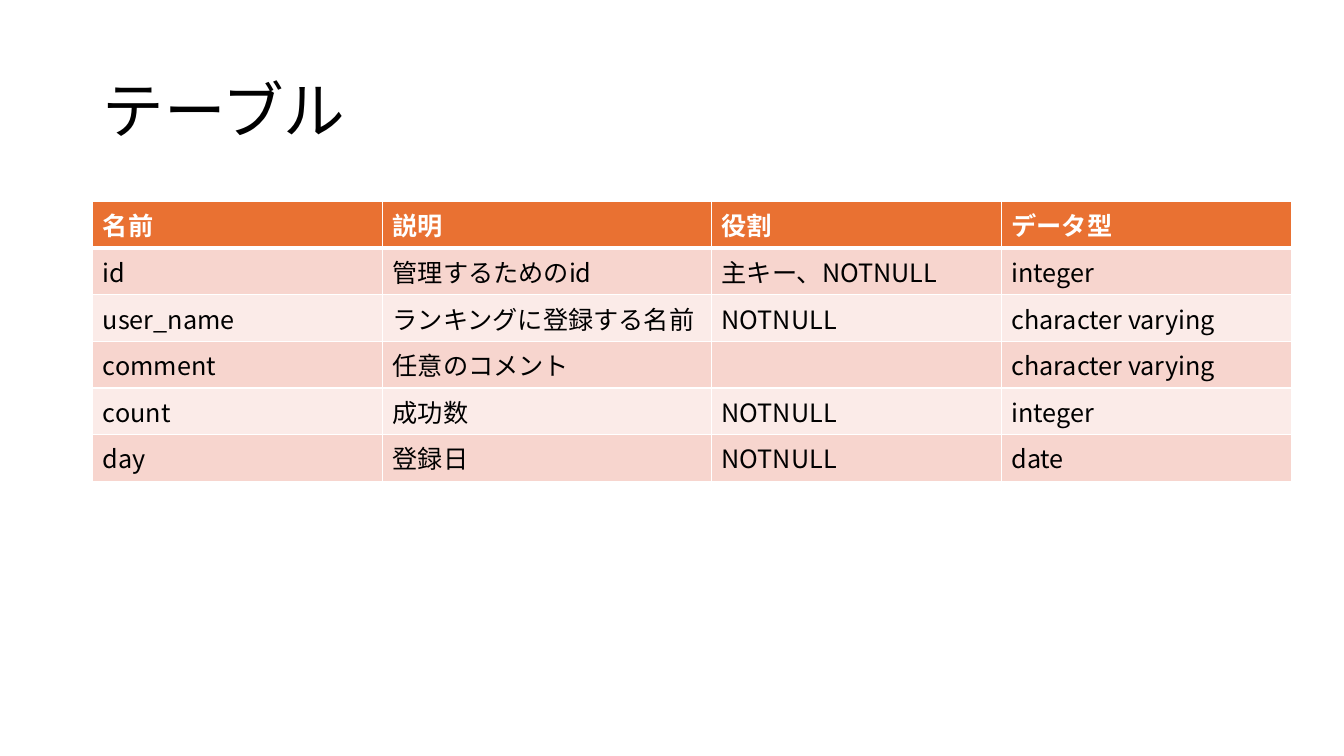
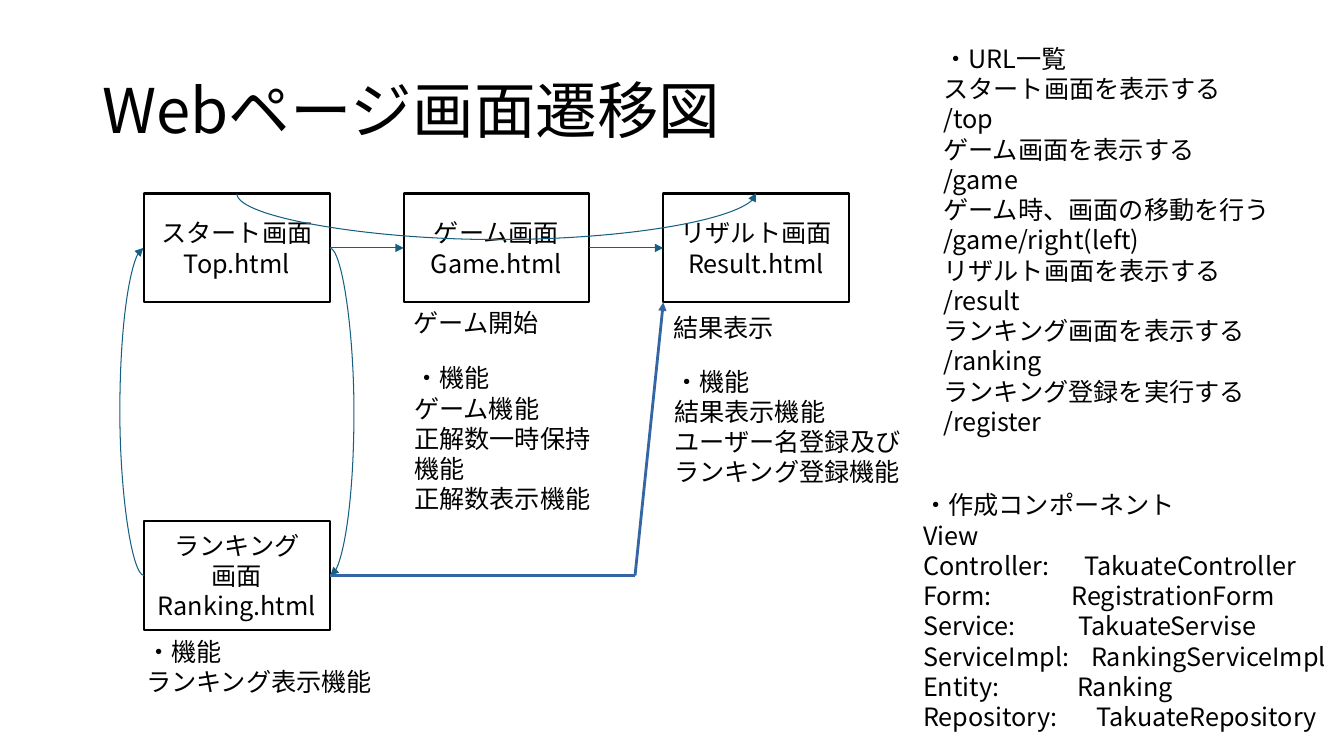
import pptx
import pptx.util
import pptx.dml.color
import pptx.enum.shapes
import pptx.enum.text
import pptx.oxml
import pptx.oxml.ns
import lxml.etree

Pt = pptx.util.Pt
qn = pptx.oxml.ns.qn
KIND = pptx.enum.shapes.MSO_CONNECTOR
ALIGN = pptx.enum.text.PP_ALIGN
ANCHOR = pptx.enum.text.MSO_ANCHOR

FONT = "Noto Sans CJK JP"
HUES = {
    "ink": "000000", "paper": "FFFFFF", "head": "E97132", "odd": "F7D5CE",
    "even": "FBEBE8", "flow": "156082", "link": "3465A4",
}

TITLES = ["テーブル", "Webページ画面遷移図"]

ROWS = [
    ("名前", "説明", "役割", "データ型"),
    ("id", "管理するためのid", "主キー、NOTNULL", "integer"),
    ("user_name", "ランキングに登録する名前", "NOTNULL", "character varying"),
    ("comment", "任意のコメント", "", "character varying"),
    ("count", "成功数", "NOTNULL", "integer"),
    ("day", "登録日", "NOTNULL", "date"),
]
COLS = [207, 235, 207, 207]
ROW_H = 33.1

LEFT, TOP, STEP, DROP = 103, 138.2, 185.4, 234
BOX_W, BOX_H = 132.5, 77.8
PAGES = {
    "top": (0, 0, ["スタート画面", "Top.html"]),
    "game": (1, 0, ["ゲーム画面", "Game.html"]),
    "result": (2, 0, ["リザルト画面", "Result.html"]),
    "rank": (0, 1, ["ランキング", "画面", "Ranking.html"]),
}

NOTES = [
    (288.4, 216, 132, ["ゲーム開始"]),
    (97.2, 450.7, 192, ["・機能", "ランキング表示機能"]),
    (473.8, 219.6, 155, ["結果表示"]),
    (288.7, 255.6, 149, ["・機能", "ゲーム機能", "正解数一時保持機能", "正解数表示機能"]),
    (474.5, 257.8, 201.6, ["・機能", "結果表示機能", "ユーザー名登録及び", "ランキング登録機能"]),
    (666.7, 27.4, 258.5, [
        "・URL一覧",
        "スタート画面を表示する", "/top",
        "ゲーム画面を表示する", "/game",
        "ゲーム時、画面の移動を行う", "/game/right(left)",
        "リザルト画面を表示する", "/result",
        "ランキング画面を表示する", "/ranking",
        "ランキング登録を実行する", "/register",
    ]),
]

PARTS = [
    ("・作成コンポーネント", "", 0),
    ("View", "", 0),
    ("Controller:", "TakuateController", 115),
    ("Form:", "RegistrationForm", 106),
    ("Service:", "TakuateServise", 111),
    ("ServiceImpl:", "RankingServiceImpl", 120),
    ("Entity:", "Ranking", 110),
    ("Repository:", "TakuateRepository", 124),
]


def rgb(hue):
    return pptx.dml.color.RGBColor.from_string(HUES[hue])


def write(frame, lines, size=18, hue="ink", bold=False, align=ALIGN.LEFT,
          anchor=ANCHOR.TOP, pitch=None, tabs=()):
    frame.word_wrap = True
    frame.auto_size = pptx.enum.text.MSO_AUTO_SIZE.NONE
    frame.vertical_anchor = anchor
    fill(frame, lines, size, hue, bold, align, pitch)
    for para, stop in zip(frame.paragraphs, tabs):
        if stop:
            row = lxml.etree.SubElement(para._p.get_or_add_pPr(), qn("a:tabLst"))
            lxml.etree.SubElement(row, qn("a:tab"), pos=str(Pt(stop)), algn="l")


def fill(frame, lines, size, hue, bold, align, pitch):
    for i, line in enumerate(lines):
        para = frame.paragraphs[0] if i == 0 else frame.add_paragraph()
        para.alignment = align
        if pitch:
            para.line_spacing = pitch
        run = para.add_run()
        run.text = line
        font = run.font
        font.name, font.size, font.bold = FONT, Pt(size), bold
        font.color.rgb = rgb(hue)
        east = lxml.etree.SubElement(run._r.get_or_add_rPr(), qn("a:ea"))
        east.set("typeface", FONT)


def start(deck, title):
    slide = deck.slides.add_slide(deck.slide_layouts[5])
    head = slide.shapes.title
    head.left, head.top, head.width, head.height = map(Pt, (66, 28.8, 828, 104.4))
    write(head.text_frame, [title], size=44, anchor=ANCHOR.MIDDLE, pitch=0.9)
    return slide


def edge(cell, side, width):
    line = lxml.etree.Element(qn("a:ln" + side), w=str(Pt(width)))
    tint = lxml.etree.SubElement(line, qn("a:solidFill"))
    lxml.etree.SubElement(tint, qn("a:srgbClr"), val=HUES["paper"])
    return line


def grid(slide):
    shape = slide.shapes.add_table(len(ROWS), len(COLS), Pt(66.3), Pt(144),
                                   Pt(sum(COLS)), Pt(ROW_H * len(ROWS)))
    table = shape.table
    for col, width in zip(table.columns, COLS):
        col.width = Pt(width)
    for r, row in enumerate(ROWS):
        table.rows[r].height = Pt(ROW_H)
        back = "head" if r == 0 else "odd" if r % 2 else "even"
        for c, text in enumerate(row):
            cell = table.cell(r, c)
            cell.fill.solid()
            cell.fill.fore_color.rgb = rgb(back)
            fill(cell.text_frame, [text], 18, "ink" if r else "paper",
                 r == 0, ALIGN.LEFT, None)
            wide = {"T": 3 if r == 1 else 0.96, "B": 0.96 if r else 3}
            for i, side in enumerate("LRTB"):
                cell._tc.tcPr.insert(i, edge(cell, side, wide.get(side, 0.96)))


def page(slide, col, row, lines):
    box = slide.shapes.add_shape(
        pptx.enum.shapes.MSO_SHAPE.RECTANGLE, Pt(LEFT + col * STEP),
        Pt(TOP + row * DROP), Pt(BOX_W), Pt(BOX_H))
    box.shadow.inherit = False
    box.fill.solid()
    box.fill.fore_color.rgb = rgb("paper")
    box.line.color.rgb = rgb("ink")
    box.line.width = Pt(1.5)
    write(box.text_frame, lines, align=ALIGN.CENTER, anchor=ANCHOR.MIDDLE,
          pitch=Pt(21.6))
    return box


def note(slide, x, y, width, lines, tabs=()):
    box = slide.shapes.add_textbox(Pt(x), Pt(y), Pt(width),
                                   Pt(7.2 + 21.6 * len(lines)))
    write(box.text_frame, lines, pitch=Pt(21.6), tabs=tabs)


def wire(slide, ends, kind=KIND.STRAIGHT, hue="flow", width=0.75, head=True):
    line = slide.shapes.add_connector(kind, *map(Pt, ends))
    line.line.color.rgb = rgb(hue)
    line.line.width = Pt(width)
    if head:
        lxml.etree.SubElement(line.line._get_or_add_ln(), qn("a:tailEnd"),
                              type="triangle")
    lxml.etree.SubElement(line._element.spPr, qn("a:effectLst"))
    return line


def curve(slide, ends, bulge, turn=0):
    line = wire(slide, ends, kind=KIND.CURVE)
    props = line._element.spPr
    ratio = round(bulge / abs(ends[2] - ends[0]) * 100000)
    lxml.etree.SubElement(props.prstGeom.get_or_add_avLst(), qn("a:gd"),
                          name="adj1", fmla=f"val {ratio}")
    if turn:
        props.find(qn("a:xfrm")).set("rot", str(turn * 60000))


def flow(slide):
    boxes = {name: page(slide, *data) for name, data in PAGES.items()}
    for item in NOTES:
        note(slide, *item)
    note(slide, 652.3, 346.3, 307.4,
         [f"{key}\t{name}" if name else key for key, name, _ in PARTS],
         tabs=[stop for _, _, stop in PARTS])

    right, mid = LEFT + BOX_W, TOP + BOX_H / 2
    low = mid + DROP
    for i, (a, b) in enumerate([("top", "game"), ("game", "result")]):
        line = wire(slide, (right + i * STEP, mid, LEFT + (i + 1) * STEP, mid))
        line.begin_connect(boxes[a], 3)
        line.end_connect(boxes[b], 1)

    curve(slide, (right, mid, right + 0.5, low), 17)
    curve(slide, (LEFT, low, LEFT - 0.5, mid), 17)
    core = LEFT + BOX_W / 2 + STEP
    curve(slide, (core - 0.25, TOP - STEP, core + 0.25, TOP + STEP), -32, turn=270)

    bend = 453.6
    line = wire(slide, (right, low, bend, low), hue="link", width=0, head=False)
    line.begin_connect(boxes["rank"], 3)
    wire(slide, (bend, low, LEFT + 2 * STEP, TOP + BOX_H), hue="link", width=0)


def main():
    deck = pptx.Presentation()
    deck.slide_width, deck.slide_height = Pt(960), Pt(540)
    for title, draw in zip(TITLES, (grid, flow)):
        draw(start(deck, title))
    deck.save("out.pptx")


if __name__ == "__main__":
    main()
